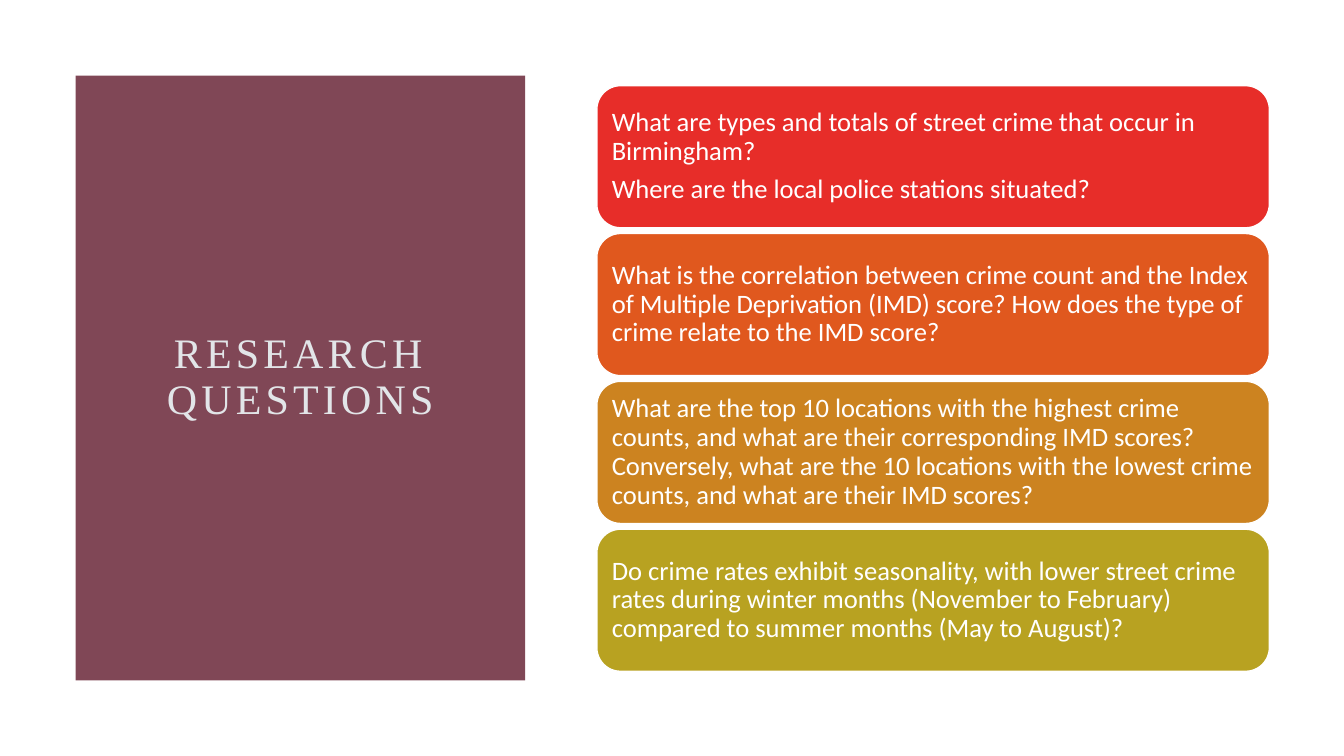
from pptx import Presentation
from pptx.dml.color import RGBColor
from pptx.enum.shapes import MSO_SHAPE
from pptx.enum.text import MSO_ANCHOR, PP_ALIGN
from pptx.util import Inches, Pt

RECT, ROUNDED = MSO_SHAPE.RECTANGLE, MSO_SHAPE.ROUNDED_RECTANGLE
MIDDLE = MSO_ANCHOR.MIDDLE
LEFT, CENTER = PP_ALIGN.LEFT, PP_ALIGN.CENTER

COLORS = {
    "panel": "804756",
    "title": "E2E5E8",
    "white": "FFFFFF",
    "red": "E72D29",
    "orange": "E0581E",
    "amber": "CC8320",
    "olive": "B8A221",
}

QUESTIONS = [
    ("red", ["What are types and totals of street crime that occur in Birmingham?",
             "Where are the local police stations situated?"]),
    ("orange", ["What is the correlation between crime count and the Index of Multiple "
                "Deprivation (IMD) score? How does the type of crime relate to the IMD score?"]),
    ("amber", ["What are the top 10 locations with the highest crime counts, and what are "
               "their corresponding IMD scores? Conversely, what are the 10 locations with "
               "the lowest crime counts, and what are their IMD scores?"]),
    ("olive", ["Do crime rates exhibit seasonality, with lower street crime rates during "
               "winter months (November to February) compared to summer months (May to August)?"]),
]
FIRST_TOP, LAST_TOP, CARD_HEIGHT = 0.85, 5.25, 1.41
CARD_PITCH = (LAST_TOP - FIRST_TOP) / (len(QUESTIONS) - 1)


class SlideBuilder:
    """Draws the title panel and question cards on one slide."""

    def __init__(self, slide):
        self.slide = slide

    def color(self, name):
        return RGBColor.from_string(COLORS[name])

    def block(self, kind, left, top, width, height, fill, inset_x, inset_y):
        s = self.slide.shapes.add_shape(
            kind, Inches(left), Inches(top), Inches(width), Inches(height))
        s.shadow.inherit = False
        s.fill.solid()
        s.fill.fore_color.rgb = self.color(fill)
        s.line.fill.background()
        tf = s.text_frame
        tf.word_wrap = True
        tf.vertical_anchor = MIDDLE
        tf.margin_left = tf.margin_right = Inches(inset_x)
        tf.margin_top = tf.margin_bottom = Inches(inset_y)
        return s

    def add_text(self, p, text, font, size, color, align):
        p.alignment = align
        p.line_spacing = 0.9
        r = p.add_run()
        r.text = text
        r.font.name = font
        r.font.size = Pt(size)
        r.font.color.rgb = self.color(color)
        return r

    def title_panel(self, text):
        s = self.block(RECT, 0.75, 0.75, 4.46, 6, "panel", 0.85, 0.8)
        p = s.text_frame.paragraphs[0]
        r = self.add_text(p, text, "Times New Roman", 30, "title", CENTER)
        r._r.get_or_add_rPr().set("spc", "300")

    def card(self, top, fill, texts):
        s = self.block(ROUNDED, 5.92, top, 6.67, CARD_HEIGHT, fill, 0.08, 0.08)
        s.line.color.rgb = self.color("white")
        s.line.width = Pt(1)
        tf = s.text_frame
        for i, text in enumerate(texts):
            p = tf.add_paragraph() if i else tf.paragraphs[0]
            p.space_after = Pt(6.65)
            self.add_text(p, text, "Calibri", 19, "white", LEFT)


def main():
    prs = Presentation()
    prs.slide_width, prs.slide_height = Inches(13.33), Inches(7.5)
    builder = SlideBuilder(prs.slides.add_slide(prs.slide_layouts[6]))
    builder.title_panel("RESEARCH QUESTIONS")
    for i, (fill, texts) in enumerate(QUESTIONS):
        builder.card(FIRST_TOP + i * CARD_PITCH, fill, texts)
    prs.save("out.pptx")


if __name__ == "__main__":
    main()
